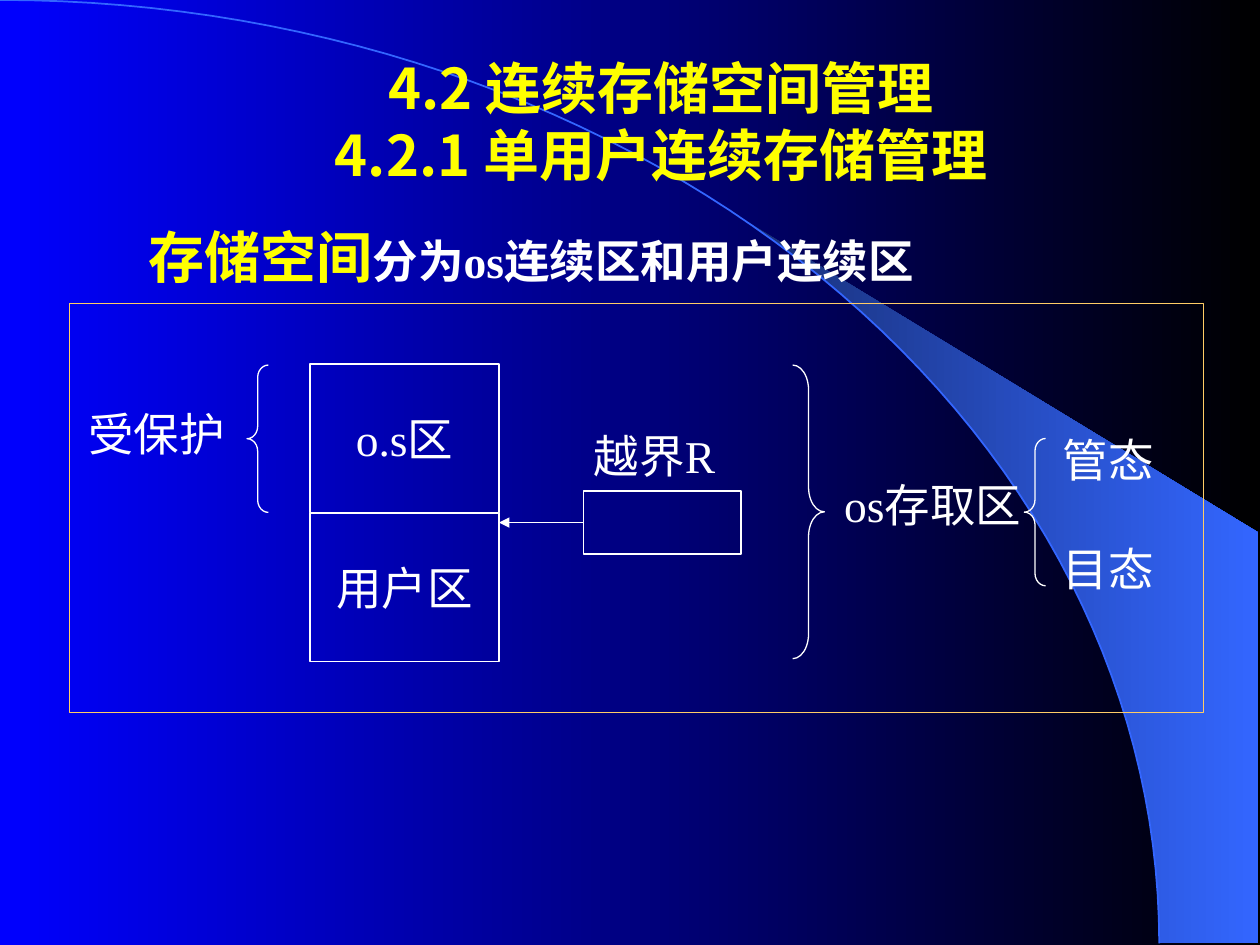
from collections import namedtuple
from math import asin, cos, pi, sin

from pptx import Presentation
from pptx.dml.color import RGBColor
from pptx.enum.shapes import MSO_CONNECTOR as Link, MSO_SHAPE as Preset
from pptx.enum.text import MSO_ANCHOR as Anchor, PP_ALIGN as Align
from pptx.oxml.ns import qn
from pptx.util import Cm, Pt
from lxml.etree import SubElement

Box = namedtuple("Box", "left top width height")
COLORS = {
    "blue": "0000FF", "black": "000000", "navy": "182F76", "azure": "3366FF",
    "yellow": "FFFF00", "white": "FFFFFF", "gold": "FFCC66",
}
SANS, SERIF = "Noto Sans CJK JP", "Times New Roman"
HEADING = {"name": SANS, "size": Pt(32), "bold": True, "color": "yellow"}
LEAD = {"name": SERIF, "size": Pt(26), "bold": True, "color": "white"}
LABEL = {**LEAD, "bold": False}


def rgb(name):
    """Return the named colour."""
    return RGBColor.from_string(COLORS[name])


def inside(box, left, top, width, height):
    """Return the lengths of a part placed relative to a box in centimetres."""
    return [Cm(v) for v in (box.left + left, box.top + top, width, height)]


def paint_gradient(fill, *names):
    """Fill with a left-to-right gradient of two colours."""
    fill.gradient()
    fill.gradient_angle = 0
    for stop, name, position in zip(fill.gradient_stops, names, (0, 1)):
        stop.color.rgb = rgb(name)
        stop.position = position


def outline(shape, color="white", width=0.75):
    """Leave a shape unfilled, with a plain line and no shadow."""
    shape.shadow.inherit = False
    shape.fill.background()
    shape.line.color.rgb = rgb(color)
    shape.line.width = Pt(width)
    return shape


def style_span(span, style):
    """Apply the format values to a run, for Latin and Chinese text."""
    for key, value in style.items():
        if key == "color":
            span.font.color.rgb = rgb(value)
        else:
            setattr(span.font, key, value)
    SubElement(span.font._element, qn("a:ea"), typeface=SANS)


def write(shape, parts, align=Align.LEFT, anchor=Anchor.MIDDLE, wrap=False,
          margins=(0.18, 0.1)):
    """Write styled text parts into one paragraph of a shape."""
    frame = shape.text_frame
    side, end = (Cm(margin) for margin in margins)
    settings = {
        "word_wrap": wrap, "vertical_anchor": anchor, "margin_left": side,
        "margin_right": side, "margin_top": end, "margin_bottom": end,
    }
    for key, value in settings.items():
        setattr(frame, key, value)
    para = frame.paragraphs[0]
    para.alignment = align
    for text, style in parts:
        for number, row in enumerate(text.split("\n")):
            if number:
                para.add_line_break()
            span = para.add_run()
            span.text = row
            style_span(span, style)
    return para


def draw_path(page, points, close):
    """Draw a straight-sided outline through points in centimetres."""
    points = [(Cm(x), Cm(y)) for x, y in points]
    builder = page.shapes.build_freeform(*points[0])
    builder.add_line_segments(points[1:], close=close)
    return builder.convert_to_shape()


def arc_points(box, start, steps=60):
    """Return points of a quarter ellipse from a start angle to the bottom right."""
    angles = [start + (pi / 2 - start) * step / steps for step in range(steps + 1)]
    return [(box.left + box.width * sin(angle),
             box.top + box.height * (1 - cos(angle))) for angle in angles]


def add_backdrop(page, box):
    """Draw the gradient background, the beam and the large arc."""
    paint_gradient(page.background.fill, "blue", "black")
    arc = Box(box.left, box.top, 23.37, 19.02)
    right = box.left + 25.37
    beam_edge = arc_points(arc, asin(0.64))
    corners = [(right, arc.top + arc.height), (right, box.top + 10.74)]
    beam = draw_path(page, beam_edge + corners, True)
    beam.shadow.inherit = False
    paint_gradient(beam.fill, "navy", "azure")
    beam.line.fill.background()
    outline(draw_path(page, arc_points(arc, 0), False), "azure", 1)


def add_heading(page, box):
    """Write the two-line title and the lead sentence."""
    title = page.shapes.add_textbox(*inside(box, 0, 0, box.width, 3.18))
    write(title, [("4.2 连续存储空间管理\n4.2.1 单用户连续存储管理", HEADING)],
          Align.CENTER, wrap=True, margins=(0.25, 0.13))
    lead = page.shapes.add_textbox(*inside(box, 0.2, 3.38, 20.32, 1.73))
    para = write(lead, [("存储空间", HEADING), ("分为os连续区和用户连续区", LEAD)],
                 Align.JUSTIFY, Anchor.TOP, True, (0.25, 0.13))
    para.line_spacing = 1.1


def add_arrow(page, source, end_x):
    """Draw an arrow from the left side of a box to a horizontal position."""
    y = source.top + source.height // 2
    arrow = page.shapes.add_connector(Link.STRAIGHT, source.left, y, end_x, y)
    arrow.begin_connect(source, 1)
    arrow.line.color.rgb = rgb("white")
    arrow.line.width = Pt(0.75)
    SubElement(arrow.line._get_or_add_ln(), qn("a:tailEnd"), type="triangle")
    SubElement(arrow._element.spPr, qn("a:effectLst"))


def add_diagram(page, box):
    """Draw the framed memory layout with its braces, register and labels."""
    def place(preset, *at, color="white"):
        """Draw an outlined preset inside the diagram."""
        return outline(page.shapes.add_shape(preset, *inside(box, *at)), color)

    place(Preset.RECTANGLE, 0, 0, box.width, box.height, color="gold")
    for row, text in enumerate(("o.s区", "用户区")):
        area = place(Preset.RECTANGLE, 4.85, 1.22 + 3 * row, 3.81, 3)
        write(area, [(text, LABEL)], Align.CENTER)
    register = place(Preset.RECTANGLE, 10.36, 3.78, 3.18, 1.27)
    add_arrow(page, register, area.left + area.width)

    braces = [
        (Preset.LEFT_BRACE, 3.58, 1.24, 0.43, 2.97, 0.58),
        (Preset.RIGHT_BRACE, 14.58, 1.24, 0.64, 5.92, 0.78),
        (Preset.LEFT_BRACE, 19.25, 2.72, 0.43, 2.97, 0.58),
    ]
    for preset, *at, curve in braces:
        place(preset, *at).adjustments[0] = curve

    labels = [
        ("越界R", 10.39, 2.34, 3.5, 1.45),
        ("受保护", 0.2, 1.9, 3.2, 1.45),
        ("os存取区", 15.44, 2.72, 4.4, 2.64),
        ("管态", 19.84, 2.41, 2.29, 1.45),
        ("目态", 19.84, 4.62, 2.29, 1.45),
    ]
    for text, *at in labels:
        label = page.shapes.add_textbox(*inside(box, *at))
        write(label, [(text, LABEL)], wrap=True)


def main():
    """Build and save the slide."""
    deck = Presentation()
    deck.slide_width, deck.slide_height = Cm(25.4), Cm(19.05)
    page = deck.slides.add_slide(deck.slide_layouts[6])
    add_backdrop(page, Box(0, 0, 25.4, 19.05))
    add_heading(page, Box(2.54, 0.84, 21.59, 5.13))
    add_diagram(page, Box(1.4, 6.12, 22.86, 8.25))
    deck.save("out.pptx")


if __name__ == "__main__":
    main()
